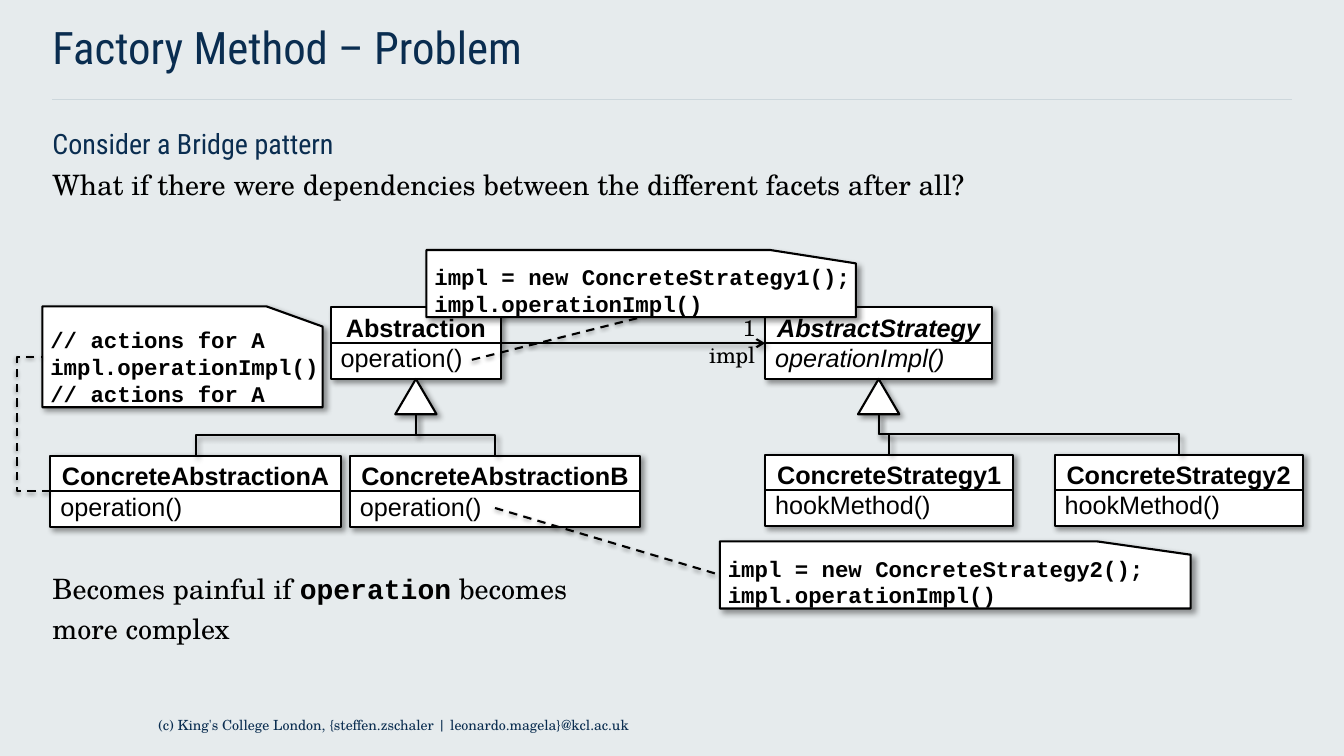
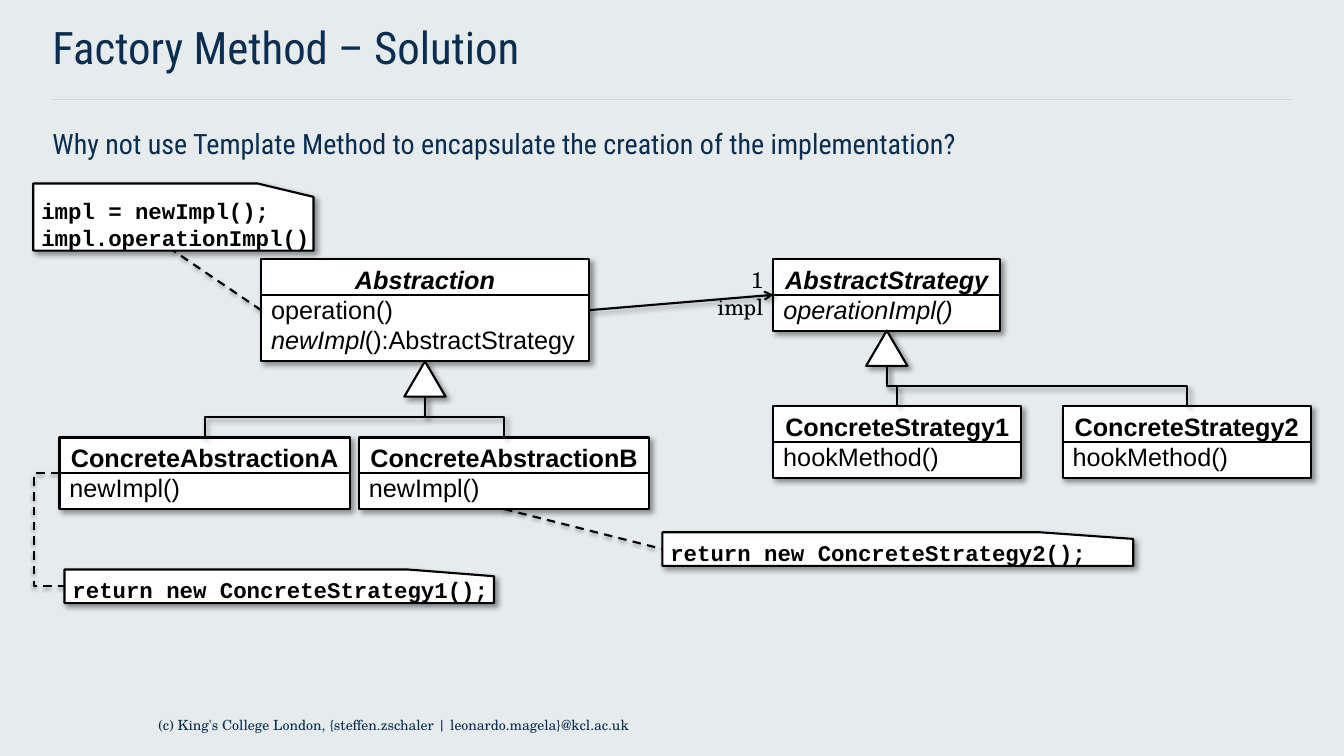
from lxml.etree import SubElement
from pptx import Presentation
from pptx.dml.color import RGBColor
from pptx.enum.dml import MSO_LINE
from pptx.enum.shapes import MSO_CONNECTOR, MSO_SHAPE
from pptx.enum.text import MSO_ANCHOR, PP_ALIGN
from pptx.oxml.ns import qn
from pptx.util import Inches, Pt

COLORS = {"background": "E6EBED", "rule": "CDD7DC", "navy": "0A2D50",
          "black": "000000", "white": "FFFFFF"}
HEADING, SERIF, SANS, MONO = "Roboto Condensed", "TeX Gyre Schola", "Arial", "Courier New"
TOP, LEFT, BOTTOM, RIGHT = range(4)

# Shadows: opacity in percent, blur and distance in points, direction in degrees
BOX_SHADOW = (40, 4, 3, 45)
DASH_SHADOW = (38, 3.1, 1.6, 90)

FOOTER = "(c) King's College London, {steffen.zschaler | leonardo.magela}@kcl.ac.uk"
ITALIC = {"italic": True}
HIERARCHIES = {"AbstractStrategy": ["ConcreteStrategy1", "ConcreteStrategy2"],
               "Abstraction": ["ConcreteAbstractionA", "ConcreteAbstractionB"]}


# Class data: name -> (left, top, width, abstract, operations)
def strategy_classes(left, top):
    hook = ["hookMethod()"]
    return {
        "AbstractStrategy": (left, top, 2.25, True, [[("operationImpl()", ITALIC)]]),
        "ConcreteStrategy1": (left, top + 1.46, 2.46, False, hook),
        "ConcreteStrategy2": (left + 2.87, top + 1.46, 2.46, False, hook),
    }


def concrete_abstractions(left, top, operation):
    return {f"ConcreteAbstraction{letter}": (left + index * 2.97, top, 2.88, False, [operation])
            for index, letter in enumerate("AB")}


# Notes: (left, top, width, code lines)
# Links: (start, end, elbow x or None); an end is a point or (class name or note number, side)
SLIDES = [
    {
        "title": "Factory Method – Problem",
        "heading": "Consider a Bridge pattern",
        "body": "What if there were dependencies between the different facets after all?",
        "closing": ["Becomes painful if ", ("operation", {"font": MONO, "bold": True}),
                    " becomes more complex"],
        "classes": {
            **strategy_classes(7.59, 3.05),
            "Abstraction": (3.28, 3.05, 1.69, False, ["operation()"]),
            **concrete_abstractions(0.5, 4.52, "operation()"),
        },
        "notes": [
            (4.23, 2.48, 4.26, ["impl = new ConcreteStrategy1();", "impl.operationImpl()"]),
            (0.42, 3.04, 2.78, ["// actions for A", "impl.operationImpl()", "// actions for A"]),
            (7.14, 5.37, 4.67, ["impl = new ConcreteStrategy2();", "impl.operationImpl()"]),
        ],
        "links": [
            ((4.68, 3.57), (0, BOTTOM), None),
            (("ConcreteAbstractionA", LEFT), (1, LEFT), 0.17),
            ((4.91, 5.04), (2, LEFT), None),
        ],
    },
    {
        "title": "Factory Method – Solution",
        "heading": "Why not use Template Method to encapsulate the creation of the implementation?",
        "classes": {
            **strategy_classes(7.67, 2.57),
            "Abstraction": (2.59, 2.57, 3.25, True,
                            ["operation()", [("newImpl", ITALIC), "():AbstractStrategy"]]),
            **concrete_abstractions(0.59, 4.34, "newImpl()"),
        },
        "notes": [
            (0.33, 1.82, 2.78, ["impl = newImpl();", "impl.operationImpl()"]),
            (0.64, 5.65, 4.26, ["return new ConcreteStrategy1();"]),
            (6.57, 5.28, 4.67, ["return new ConcreteStrategy2();"]),
        ],
        "links": [
            (("Abstraction", LEFT), (0, BOTTOM), None),
            (("ConcreteAbstractionA", LEFT), (1, LEFT), 0.34),
            (("ConcreteAbstractionB", BOTTOM), (2, LEFT), None),
        ],
    },
]


def rgb(name):
    return RGBColor.from_string(COLORS[name])


# Text
def add_paragraph(frame, runs, align=PP_ALIGN.LEFT, spacing=None, **style):
    paragraph = frame.paragraphs[0]
    if paragraph.runs:
        paragraph = frame.add_paragraph()
    paragraph.alignment = align
    if spacing:
        paragraph.line_spacing = spacing
    for item in [runs] if isinstance(runs, str) else runs:
        text, changes = (item, {}) if isinstance(item, str) else item
        look = {"font": SERIF, "size": 20, "color": "black", "bold": False,
                "italic": False, **style, **changes}
        run = paragraph.add_run()
        run.text = text
        run.font.name = look["font"]
        run.font.size = Pt(look["size"])
        run.font.bold = look["bold"]
        run.font.italic = look["italic"]
        run.font.color.rgb = rgb(look["color"])


def prepare_frame(shape, left=0.0, top=0.0, right=0.0, bottom=0.0):
    frame = shape.text_frame
    frame.word_wrap = True
    frame.vertical_anchor = MSO_ANCHOR.TOP
    frame.margin_left, frame.margin_top = Inches(left), Inches(top)
    frame.margin_right, frame.margin_bottom = Inches(right), Inches(bottom)
    return frame


def add_text_box(slide, left, top, width, height):
    return slide.shapes.add_textbox(Inches(left), Inches(top), Inches(width), Inches(height))


# Shapes and lines
def set_shadow(properties, shadow):
    effects = properties.find(qn("a:effectLst"))
    if effects is None:
        effects = SubElement(properties, qn("a:effectLst"))
    if shadow:
        opacity, blur, distance, direction = shadow
        outer = SubElement(effects, qn("a:outerShdw"), blurRad=str(Pt(blur)),
                           dist=str(Pt(distance)), dir=str(direction * 60000),
                           algn="tl", rotWithShape="0")
        color = SubElement(outer, qn("a:srgbClr"), val=COLORS["black"])
        SubElement(color, qn("a:alpha"), val=str(opacity * 1000))


def add_outlined_shape(slide, kind, left, top, width, height):
    shape = slide.shapes.add_shape(kind, Inches(left), Inches(top), Inches(width), Inches(height))
    shape.fill.solid()
    shape.fill.fore_color.rgb = rgb("white")
    shape.line.color.rgb = rgb("black")
    shape.line.width = Pt(1.5)
    shape.shadow.inherit = False
    set_shadow(shape._element.spPr, BOX_SHADOW)
    return shape


def style_line(connector, color="black", width=1.5, dashed=False, arrow=False, shadow=None):
    connector.line.color.rgb = rgb(color)
    connector.line.width = Pt(width)
    if dashed:
        connector.line.dash_style = MSO_LINE.DASH
    properties = connector._element.spPr
    if arrow:
        SubElement(properties.find(qn("a:ln")), qn("a:tailEnd"), type="arrow")
    set_shadow(properties, shadow)


def side_point(shape, side):
    x = shape.left + {LEFT: 0, RIGHT: shape.width}.get(side, shape.width // 2)
    y = shape.top + {TOP: 0, BOTTOM: shape.height}.get(side, shape.height // 2)
    return x, y


def locate(end):
    """Return the point of an end given as (shape, side) or as inches."""
    if isinstance(end[0], (int, float)):
        return Inches(end[0]), Inches(end[1])
    return side_point(*end)


def add_line(slide, start, end, **style):
    connector = slide.shapes.add_connector(MSO_CONNECTOR.STRAIGHT, *locate(start), *locate(end))
    for target, join in ((start, connector.begin_connect), (end, connector.end_connect)):
        if getattr(target[0], "auto_shape_type", None) == MSO_SHAPE.RECTANGLE:
            join(*target)
    style_line(connector, **style)


def add_side_loop(slide, start, end, elbow_x, **style):
    (x1, y1), (x2, y2) = locate(start), locate(end)
    connector = slide.shapes.add_connector(MSO_CONNECTOR.ELBOW, x1, y1, x2, y2)
    ratio = (Inches(elbow_x) - x1) / (x2 - x1)
    guides = connector._element.spPr.find(qn("a:prstGeom")).find(qn("a:avLst"))
    SubElement(guides, qn("a:gd"), name="adj1", fmla=f"val {round(ratio * 100000)}")
    style_line(connector, **style)


def add_tree_branch(slide, parent, child):
    """Elbow that leaves downwards: a sideways elbow turned by a quarter."""
    (x1, y1), (x2, y2) = side_point(parent, BOTTOM), side_point(child, TOP)
    across, down = abs(x2 - x1), y2 - y1
    left, top = (x1 + x2 - down) // 2, (y1 + y2 - across) // 2
    connector = slide.shapes.add_connector(MSO_CONNECTOR.ELBOW, left, top,
                                           left + down, top + across)
    transform = connector._element.spPr.find(qn("a:xfrm"))
    transform.set("rot", str((90 if x2 < x1 else 270) * 60000))
    if x2 >= x1:
        transform.set("flipH", "1")
    style_line(connector, shadow=BOX_SHADOW)


# Diagram parts
def add_class(slide, name, left, top, width, abstract, operations):
    height = 0.1 + 0.305 * (1 + len(operations))
    box = add_outlined_shape(slide, MSO_SHAPE.RECTANGLE, left, top, width, height)
    frame = prepare_frame(box, 0.1, 0.05, 0.1, 0.05)
    style = {"font": SANS, "size": 18, "spacing": Pt(21.6)}
    add_paragraph(frame, name, align=PP_ALIGN.CENTER, bold=True, italic=abstract, **style)
    for operation in operations:
        add_paragraph(frame, operation, **style)
    if len(operations) == 1:
        add_line(slide, (box, LEFT), (box, RIGHT))
    else:
        add_line(slide, (left, top + 0.36), (left + width, top + 0.36))
    return box


def add_note(slide, left, top, width, lines):
    height = len(lines) / 3
    card = add_outlined_shape(slide, MSO_SHAPE.FLOWCHART_CARD, left, top, width, height)
    card._element.spPr.find(qn("a:xfrm")).set("flipH", "1")
    frame = prepare_frame(card, left=0.08)
    for line in lines:
        add_paragraph(frame, line, font=MONO, size=16, bold=True, spacing=Pt(19.2))
    return card


def add_hierarchy(slide, parent, children):
    x, y = side_point(parent, BOTTOM)
    triangle = add_outlined_shape(slide, MSO_SHAPE.ISOSCELES_TRIANGLE,
                                  x / Inches(1) - 0.205, y / Inches(1), 0.41, 0.35)
    for child in children:
        add_tree_branch(slide, triangle, child)


def add_diagram(slide, content):
    parts = {name: add_class(slide, name, *values)
             for name, values in content["classes"].items()}
    for parent, children in HIERARCHIES.items():
        add_hierarchy(slide, parts[parent], [parts[child] for child in children])

    # Association with its multiplicity and role
    add_line(slide, (parts["Abstraction"], RIGHT), (parts["AbstractStrategy"], LEFT),
             arrow=True, shadow=BOX_SHADOW)
    left, top = content["classes"]["AbstractStrategy"][:2]
    frame = prepare_frame(add_text_box(slide, left - 0.66, top + 0.02, 0.66, 0.64),
                          top=0.05, right=0.1, bottom=0.05)
    for label in ("1", "impl"):
        add_paragraph(frame, label, size=16, align=PP_ALIGN.RIGHT)

    # Code notes and their dashed links
    for number, note in enumerate(content["notes"]):
        parts[number] = add_note(slide, *note)
    for start, end, elbow_x in content["links"]:
        start, end = [(parts[key], side) if key in parts else (key, side)
                      for key, side in (start, end)]
        style = {"dashed": True, "shadow": DASH_SHADOW}
        if elbow_x is None:
            add_line(slide, start, end, **style)
        else:
            add_side_loop(slide, start, end, elbow_x, **style)


def add_slide(presentation, content):
    slide = presentation.slides.add_slide(presentation.slide_layouts[6])
    add_line(slide, (0.52, 0.99), (12.81, 0.99), color="rule", width=1)
    heading = {"font": HEADING, "color": "navy"}
    title = prepare_frame(add_text_box(slide, 0.52, 0.2, 12.28, 0.79))
    add_paragraph(title, content["title"], size=32, **heading)
    body = prepare_frame(add_text_box(slide, 0.52, 1.19, 12.28, 0.85))
    add_paragraph(body, content["heading"], spacing=1.2, **heading)
    if "body" in content:
        add_paragraph(body, content["body"], spacing=1.2)
    if "closing" in content:
        closing = prepare_frame(add_text_box(slide, 0.52, 5.6, 5.4, 0.85))
        add_paragraph(closing, content["closing"], spacing=1.2)
    footer = prepare_frame(add_text_box(slide, 1.57, 7.11, 10.18, 0.39))
    add_paragraph(footer, FOOTER, size=10, color="navy")
    add_diagram(slide, content)


def main():
    presentation = Presentation()
    presentation.slide_width, presentation.slide_height = Inches(13.33), Inches(7.5)
    background = presentation.slide_master.background.fill
    background.solid()
    background.fore_color.rgb = rgb("background")
    for content in SLIDES:
        add_slide(presentation, content)
    presentation.save("out.pptx")


if __name__ == "__main__":
    main()
